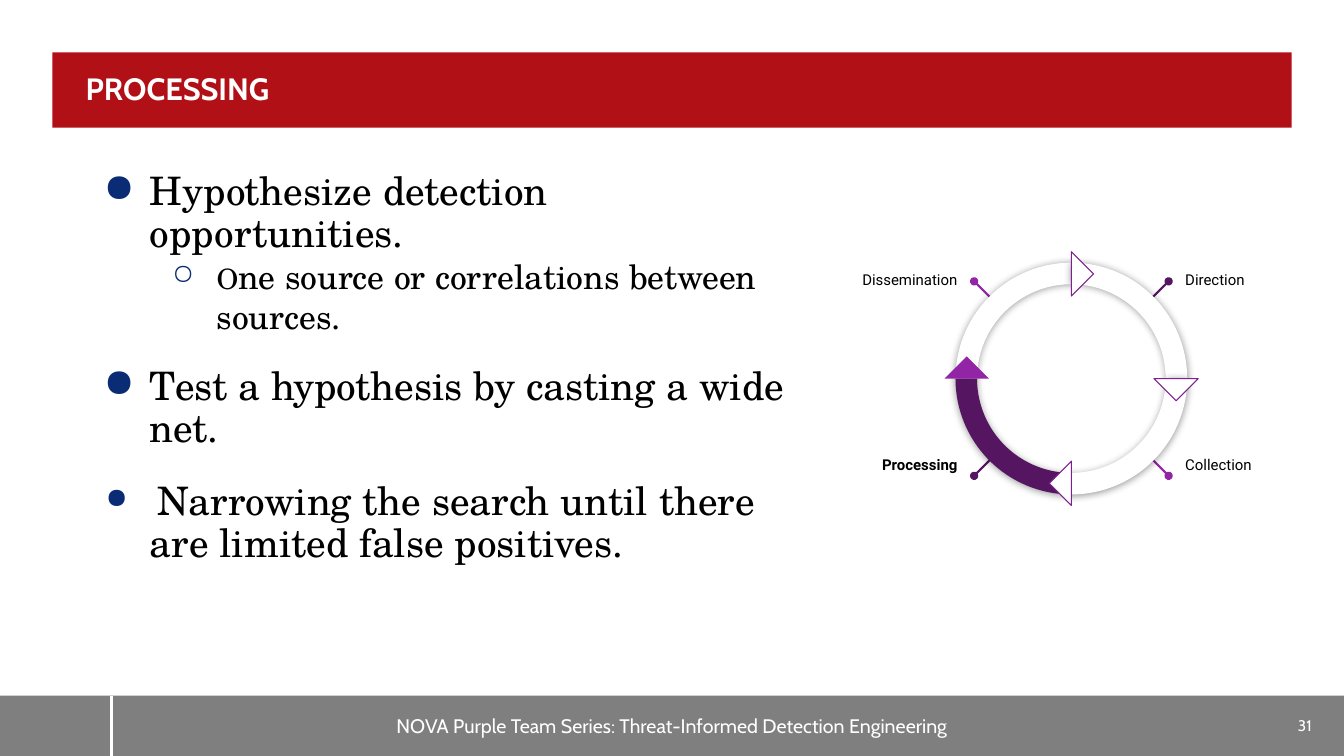
from lxml import etree
from pptx import Presentation
from pptx.dml.color import RGBColor
from pptx.enum.shapes import MSO_CONNECTOR, MSO_SHAPE
from pptx.enum.text import MSO_ANCHOR, PP_ALIGN
from pptx.oxml.ns import qn
from pptx.util import Cm, Pt

RECT, ARC, TRIANGLE = MSO_SHAPE.RECTANGLE, MSO_SHAPE.BLOCK_ARC, MSO_SHAPE.RIGHT_TRIANGLE
STRAIGHT = MSO_CONNECTOR.STRAIGHT
LEFT, CENTER, RIGHT = PP_ALIGN.LEFT, PP_ALIGN.CENTER, PP_ALIGN.RIGHT
TOP, MIDDLE = MSO_ANCHOR.TOP, MSO_ANCHOR.MIDDLE

COLORS = {
    "white": "FFFFFF", "black": "000000", "gray": "7F7F7F", "red": "B11116",
    "navy": "092C74", "plum": "551561", "violet": "9225A5", "outline": "7F2090",
}
HEADING_FONT, BODY_FONT, LABEL_FONT = "Cabin", "TeX Gyre Schola", "Roboto"

TITLE = "PROCESSING"
FOOTER = "NOVA Purple Team Series: Threat-Informed Detection Engineering"
PAGE_NUMBER = "31"
# bullet, left margin (cm), hanging indent (cm), line spacing, space before (pt), runs
POINTS = [
    ("●", 1.7, 1.17, 0.9, 0, [("Hypothesize detection opportunities.", 28)]),
    ("○", 3.38, 1.12, 1.0, 0,
     [("O", 20), ("ne source or correlations between sources.", 24)]),
    ("●", 1.7, 1.17, 0.9, 21.5, [("Test a hypothesis by casting a wide net.", 28)]),
    ("●", 1.7, 1.12, 0.9, 21.5,
     [(" ", 20), ("Narrowing the search until there are limited false positives.", 28)]),
]
# phase, horizontal side, vertical side, pointer colour
PHASES = [
    ("Dissemination", -1, -1, "violet"),
    ("Processing", -1, 1, "plum"),
    ("Collection", 1, 1, "violet"),
    ("Direction", 1, -1, "plum"),
]
ACTIVE_PHASE = "Processing"
# start angle of each quarter (clockwise from the right), fill
QUARTERS = [(180, "white"), (270, "white"), (90, "plum"), (0, "white")]
# horizontal side, vertical side, rotation, fill, outline
ARROWS = [
    (-1, 0, 135, "violet", None),
    (1, 0, 315, "white", "outline"),
    (0, 1, 45, "white", "outline"),
    (0, -1, 225, "white", "outline"),
]

SLIDE_W, SLIDE_H = 33.87, 19.05
FOOTER_H = 1.52
FOOTER_TOP = SLIDE_H - FOOTER_H
MARGIN, HEADER_H = 1.32, 1.9
CONTENT_LEFT = 1.83
INSET = 0.33
RING_X, RING_Y, RING_SIZE = 27.0, 9.54, 5.84
ARROW_SIZE, ARROW_ORBIT = 0.79, 2.64
POINTER_INNER, POINTER_OUTER = 1.71, 2.45
LABEL_W, LABEL_H = 3.28, 1.45
LABEL_DX, LABEL_DY = 2.54, 2.33


def rgb(name):
    return RGBColor.from_string(COLORS[name])


def add_child(parent, tag, **attributes):
    return etree.SubElement(parent, qn(tag), attributes)


def add_block(shapes, kind, left, top, width, height, fill, outline=None):
    block = shapes.add_shape(kind, Cm(left), Cm(top), Cm(width), Cm(height))
    block.shadow.inherit = False
    block.fill.solid()
    block.fill.fore_color.rgb = rgb(fill)
    if outline:
        block.line.color.rgb = rgb(outline)
        block.line.width = Pt(0.75)
    else:
        block.line.fill.background()
    return block


def add_line(shapes, start, end, color, width):
    line = shapes.add_connector(STRAIGHT, *map(Cm, start + end))
    line.line.color.rgb = rgb(color)
    line.line.width = Pt(width)
    add_child(line._element.spPr, "a:effectLst")
    return line


def add_frame(shapes, left, top, width, height, anchor=TOP, inset=None):
    box = shapes.add_textbox(Cm(left), Cm(top), Cm(width), Cm(height))
    frame = box.text_frame
    frame.word_wrap = True
    frame.vertical_anchor = anchor
    if inset is not None:
        frame.margin_left = frame.margin_right = Cm(inset)
        frame.margin_top = frame.margin_bottom = Cm(inset)
    return frame


def write(frame, text, font, size, color, align=LEFT, bold=False, spacing=1.0):
    paragraph = frame.paragraphs[0]
    paragraph.text = text
    paragraph.alignment = align
    paragraph.line_spacing = spacing
    style_font(paragraph.font, font, color, size, bold)


def style_font(font, name, color, size=None, bold=False):
    font.name = name
    font.color.rgb = rgb(color)
    font.bold = bold
    if size:
        font.size = Pt(size)


def add_soft_shadow(block):
    shadow = add_child(block._element.spPr.find(qn("a:effectLst")), "a:outerShdw",
                       blurRad=str(Pt(5.6)), dist=str(Pt(0.8)), dir="5400000",
                       algn="ctr", rotWithShape="0")
    color = add_child(shadow, "a:srgbClr", val=COLORS["black"])
    add_child(color, "a:alpha", val="40000")


def add_bands(shapes):
    footer = add_block(shapes, RECT, 0, FOOTER_TOP, SLIDE_W, FOOTER_H, "gray")
    footer.text_frame.vertical_anchor = MIDDLE
    write(footer.text_frame, FOOTER, HEADING_FONT, 14, "white", CENTER)
    add_line(shapes, (2.82, FOOTER_TOP), (2.82, SLIDE_H), "white", 2)
    number = add_frame(shapes, 32.16, FOOTER_TOP, 1.45, FOOTER_H, MIDDLE)
    number.word_wrap = False
    write(number, PAGE_NUMBER, HEADING_FONT, 11, "white", CENTER)

    add_block(shapes, RECT, MARGIN, MARGIN, SLIDE_W - 2 * MARGIN, HEADER_H, "red")
    title = add_frame(shapes, CONTENT_LEFT, MARGIN, 30.23, HEADER_H, MIDDLE, INSET)
    write(title, TITLE, HEADING_FONT, 22, "white", bold=True, spacing=0.9)


def add_points(shapes):
    frame = add_frame(shapes, CONTENT_LEFT, 4.19, 18.59, 12.62)
    for index, (bullet, margin, hanging, spacing, before, runs) in enumerate(POINTS):
        paragraph = frame.add_paragraph() if index else frame.paragraphs[0]
        paragraph.line_spacing = spacing
        if before:
            paragraph.space_before = Pt(before)
        properties = paragraph._p.get_or_add_pPr()
        properties.set("marL", str(Cm(margin)))
        properties.set("indent", str(-Cm(hanging)))
        add_child(add_child(properties, "a:buClr"), "a:srgbClr", val=COLORS["navy"])
        add_child(properties, "a:buChar", char=bullet)
        style_font(paragraph.font, BODY_FONT, "black")
        for text, size in runs:
            run = paragraph.add_run()
            run.text = text
            run.font.size = Pt(size)


def add_cycle(shapes):
    for phase, side_x, side_y, color in PHASES:
        outer, inner = [(RING_X + side_x * reach, RING_Y + side_y * reach)
                        for reach in (POINTER_OUTER, POINTER_INNER)]
        pointer = add_line(shapes, outer, inner, color, 1.5)
        add_child(pointer.line._get_or_add_ln(), "a:headEnd", type="oval")
        left = RING_X + side_x * LABEL_DX - (LABEL_W if side_x < 0 else 0)
        top = RING_Y + side_y * LABEL_DY - LABEL_H / 2
        label = add_frame(shapes, left, top, LABEL_W, LABEL_H, inset=INSET)
        write(label, phase, LABEL_FONT, 10.7, "black", RIGHT if side_x < 0 else LEFT,
              phase == ACTIVE_PHASE, 1.15)

    for start, fill in QUARTERS:
        arc = add_block(shapes, ARC, RING_X - RING_SIZE / 2, RING_Y - RING_SIZE / 2,
                        RING_SIZE, RING_SIZE, fill)
        # Angles are stored in 60000ths of a degree, adjustments in 100000ths
        arc.adjustments[0] = start * 0.6
        arc.adjustments[1] = (start + 90) % 360 * 0.6
        arc.adjustments[2] = 0.093
        add_soft_shadow(arc)

    for side_x, side_y, rotation, fill, outline in ARROWS:
        arrow = add_block(shapes, TRIANGLE,
                          RING_X + side_x * ARROW_ORBIT - ARROW_SIZE / 2,
                          RING_Y + side_y * ARROW_ORBIT - ARROW_SIZE / 2,
                          ARROW_SIZE, ARROW_SIZE, fill, outline)
        arrow.rotation = rotation


def main():
    deck = Presentation()
    deck.slide_width, deck.slide_height = Cm(SLIDE_W), Cm(SLIDE_H)
    shapes = deck.slides.add_slide(deck.slide_layouts[6]).shapes
    add_bands(shapes)
    add_points(shapes)
    add_cycle(shapes)
    deck.save("out.pptx")


if __name__ == "__main__":
    main()
